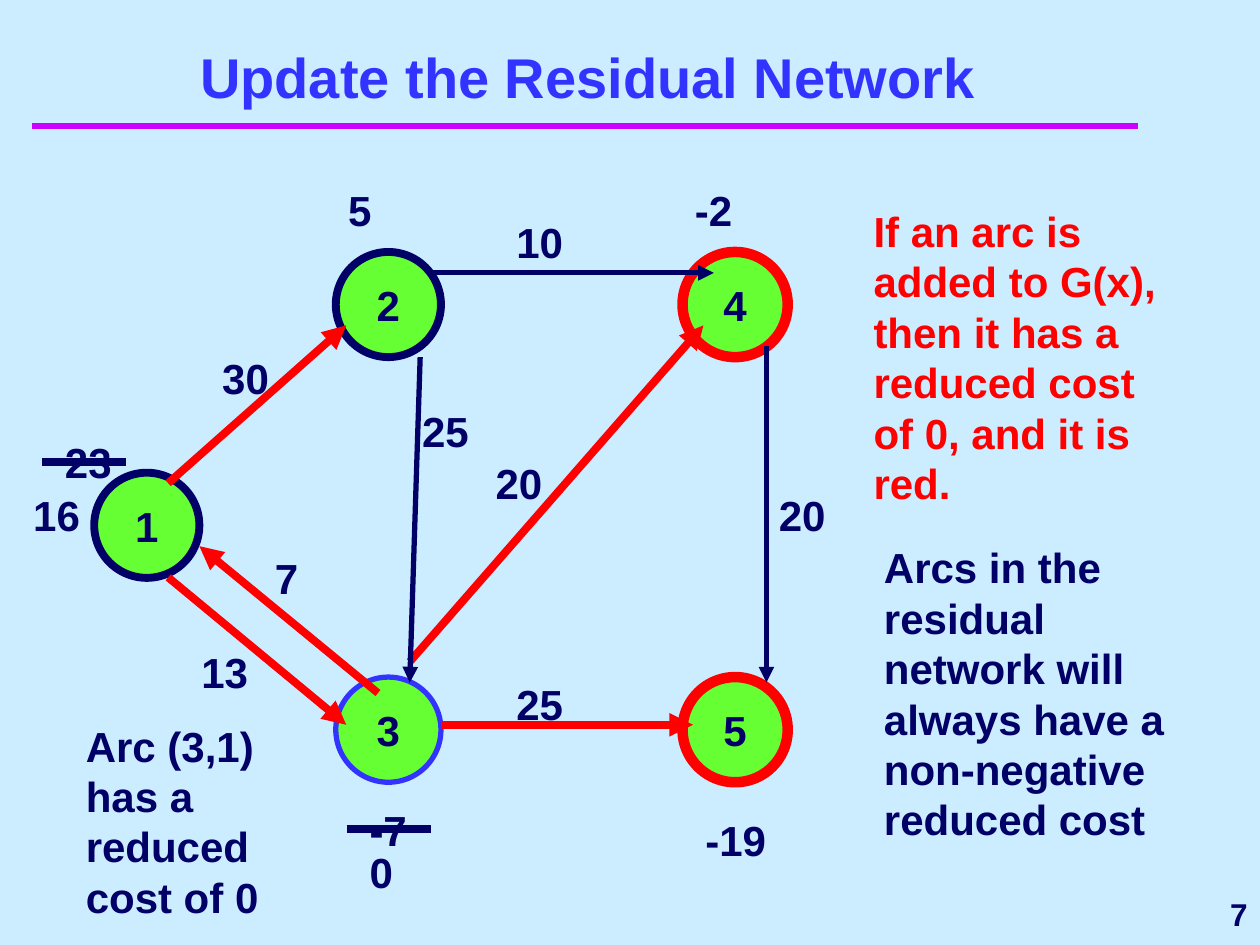
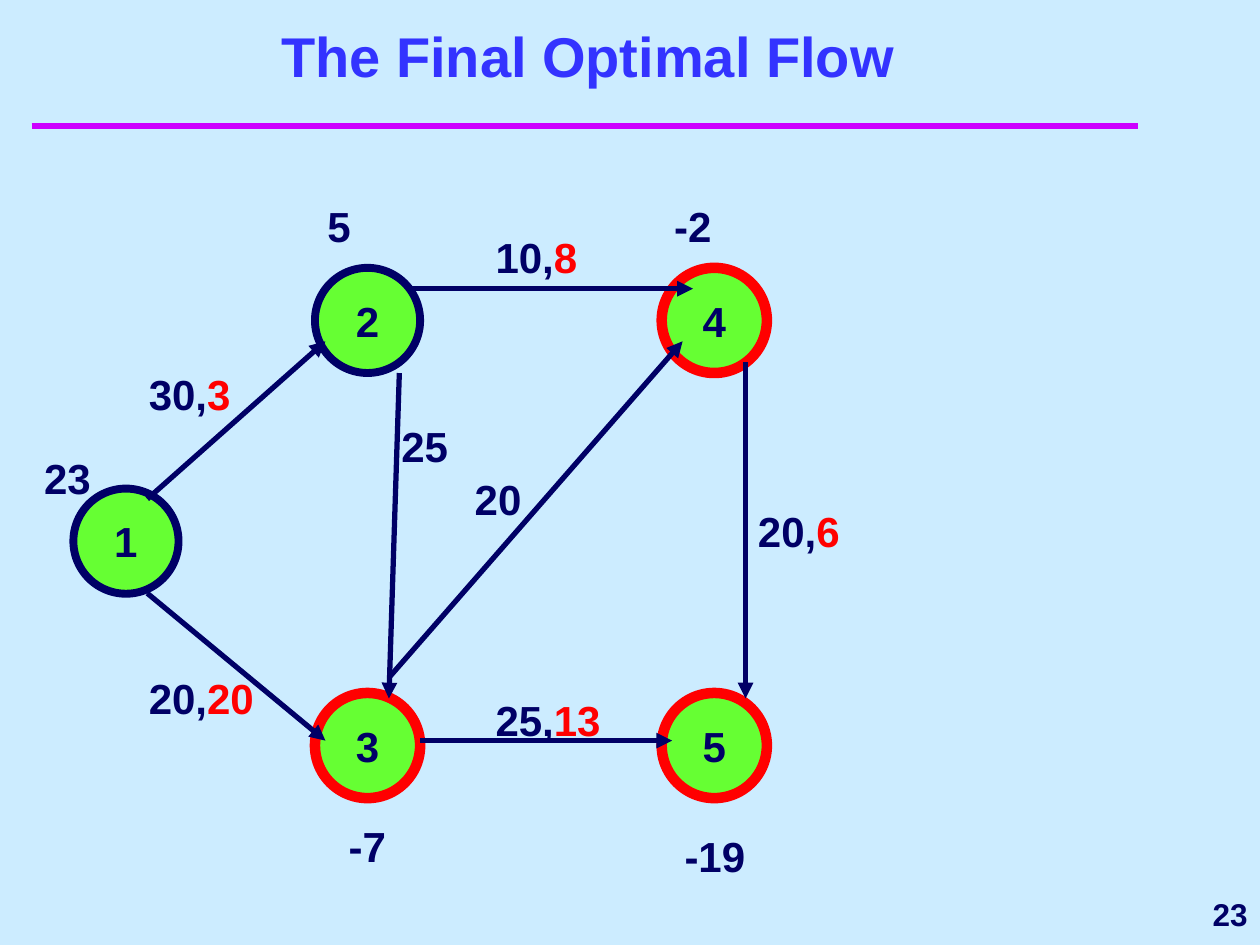
from pptx import Presentation
from pptx.dml.color import RGBColor
from pptx.enum.shapes import MSO_CONNECTOR, MSO_SHAPE
from pptx.enum.text import MSO_ANCHOR, PP_ALIGN
from pptx.oxml.ns import qn
from pptx.util import Cm, Pt
from lxml.etree import SubElement

COLORS = {
    "background": "CCECFF",
    "rule": "CC00FF",
    "title": "3333FF",
    "navy": "000066",
    "red": "FF0000",
    "node": "66FF33",
}
FONT = "Arial"
NODE_SIZE = 2.12
LABEL_W, SUPPLY_W, LABEL_H = 2.97, 1.9, 1.27

NODES = {
    "1": (0, 5.93),
    "2": (4.87, 1.48),
    "3": (4.87, 10.05),
    "4": (11.86, 1.48),
    "5": (11.86, 10.05),
}
ARCS = {
    "12": (1.49, 6.14, 5.08, 2.96),
    "24": (6.78, 1.9, 12.49, 1.9),
    "45": (13.55, 3.38, 13.55, 10.16),
    "34": (6.36, 9.74, 12.28, 2.96),
    "13": (1.49, 8.04, 5.08, 11.01),
    "35": (6.99, 11.01, 12.07, 11.01),
    "23": (6.57, 3.6, 6.36, 10.16),
    "31": (5.72, 10.37, 2.12, 7.41),
}
LABELS = {
    "12": (1.27, 3.38),
    "24": (8.26, 0.63),
    "45": (13.55, 6.14),
    "34": (7.84, 5.5),
    "13": (1.27, 9.52),
    "35": (8.26, 9.95),
    "23": (6.36, 4.44),
    "31": (3.39, 7.41),
}
SUPPLIES = {
    "1": (-0.84, 5.08, "23"),
    "2": (4.87, 0, "5"),
    "3": (5.3, 12.49, "-7"),
    "4": (11.86, 0, "-2"),
    "5": (12.07, 12.7, "-19"),
}


def color(name):
    return RGBColor.from_string(COLORS[name])


def write(sp, runs, size=24, align=PP_ALIGN.LEFT, anchor=MSO_ANCHOR.TOP):
    tf = sp.text_frame
    tf.word_wrap = True
    tf.vertical_anchor = anchor
    p = tf.paragraphs[0]
    p.alignment = align
    for text, name in runs:
        r = p.add_run()
        r.text = text
        r.font.name = FONT
        r.font.size = Pt(size)
        r.font.bold = True
        r.font.color.rgb = color(name)


def add_text(s, box, runs, **style):
    sp = s.shapes.add_textbox(*map(Cm, box))
    write(sp, runs, **style)


def add_line(s, ends, name, width, arrow=False):
    sp = s.shapes.add_connector(MSO_CONNECTOR.STRAIGHT, *map(Cm, ends))
    sp.line.color.rgb = color(name)
    sp.line.width = Pt(width)
    if arrow:
        SubElement(sp.line._get_or_add_ln(), qn("a:tailEnd"), type="triangle")
    SubElement(sp._element.spPr, qn("a:effectLst"))


def add_node(s, x, y, text, outline, width):
    sp = s.shapes.add_shape(MSO_SHAPE.OVAL, Cm(x), Cm(y), Cm(NODE_SIZE), Cm(NODE_SIZE))
    sp.shadow.inherit = False
    sp.fill.solid()
    sp.fill.fore_color.rgb = color("node")
    sp.line.color.rgb = color(outline)
    sp.line.width = Pt(width)
    write(sp, [(text, "navy")], align=PP_ALIGN.CENTER, anchor=MSO_ANCHOR.MIDDLE)


def add_base(prs, title, title_top, number):
    s = prs.slides.add_slide(prs.slide_layouts[6])
    s.background.fill.solid()
    s.background.fill.fore_color.rgb = color("background")
    add_line(s, (0.64, 2.54, 22.94, 2.54), "rule", 4)
    add_text(s, (20.52, 17.78, 4.88, 1.27), [(number, "navy")], size=18,
             align=PP_ALIGN.RIGHT, anchor=MSO_ANCHOR.MIDDLE)
    add_text(s, (1.06, title_top, 21.59, 1.06), [(title, "title")], size=32,
             align=PP_ALIGN.CENTER, anchor=MSO_ANCHOR.BOTTOM)
    return s


def add_network(s, left, top, outlines, arcs, red_arcs=(), label_places=LABELS):
    for node, (x, y) in NODES.items():
        add_node(s, left + x, top + y, node, *outlines[node])
    for arc in arcs:
        x1, y1, x2, y2 = ARCS[arc]
        name, width = ("red", 4.5) if arc in red_arcs else ("navy", 3)
        add_line(s, (left + x1, top + y1, left + x2, top + y2), name, width, arrow=True)
    for arc, (capacity, flow) in arcs.items():
        x, y = label_places[arc]
        runs = [(capacity + ",", "navy"), (flow, "red")] if flow else [(capacity, "navy")]
        add_text(s, (left + x, top + y, LABEL_W, LABEL_H), runs)
    for x, y, supply in SUPPLIES.values():
        add_text(s, (left + x, top + y, SUPPLY_W, LABEL_H), [(supply, "navy")])


def replace_supply(s, left, top, node, value, dx, dy):
    x, y = left + SUPPLIES[node][0], top + SUPPLIES[node][1]
    add_line(s, (x - 0.21, y + 0.63, x + 1.49, y + 0.63), "navy", 4.5)
    add_text(s, (x + dx, y + dy, SUPPLY_W, LABEL_H), [(value, "navy")])


def add_residual_slide(prs):
    s = add_base(prs, "Update the Residual Network", 1.27, "7")
    left, top = 1.9, 3.6
    outlines = {"1": ("navy", 4.5), "2": ("navy", 4.5), "3": ("title", 3),
                "4": ("red", 6), "5": ("red", 6)}
    arcs = {"12": ("30", ""), "24": ("10", ""), "45": ("20", ""), "34": ("20", ""),
            "13": ("13", ""), "35": ("25", ""), "23": ("25", ""), "31": ("7", "")}
    places = LABELS | {"12": (2.33, 3.38), "13": (1.91, 9.31)}
    add_network(s, left, top, outlines, arcs, ("12", "34", "13", "35", "31"), places)
    replace_supply(s, left, top, "1", "16", -0.64, 1.06)
    replace_supply(s, left, top, "3", "0", 0, 0.84)
    notes = [
        ((1.48, 14.39, 5.08, 4.32), "Arc (3,1) has a reduced cost of 0", "navy"),
        ((17.36, 4.02, 6.35, 6.35),
         "If an arc is added to G(x), then it has a reduced cost of 0, and it is red.", "red"),
        ((17.57, 10.8, 6.77, 6.35),
         "Arcs in the residual network will always have a non-negative reduced cost", "navy"),
    ]
    for box, text, name in notes:
        add_text(s, box, [(text, name)])


def add_optimal_slide(prs):
    s = add_base(prs, "The Final Optimal Flow", 0.85, "23")
    outlines = {node: ("navy", 4.5) if node in "12" else ("red", 6) for node in NODES}
    arcs = {"12": ("30", "3"), "24": ("10", "8"), "45": ("20", "6"), "34": ("20", ""),
            "13": ("20", "20"), "35": ("25", "13"), "23": ("25", "")}
    add_network(s, 1.48, 3.92, outlines, arcs)


def main():
    prs = Presentation()
    prs.slide_width, prs.slide_height = Cm(25.4), Cm(19.05)
    add_residual_slide(prs)
    add_optimal_slide(prs)
    prs.save("out.pptx")


if __name__ == "__main__":
    main()
